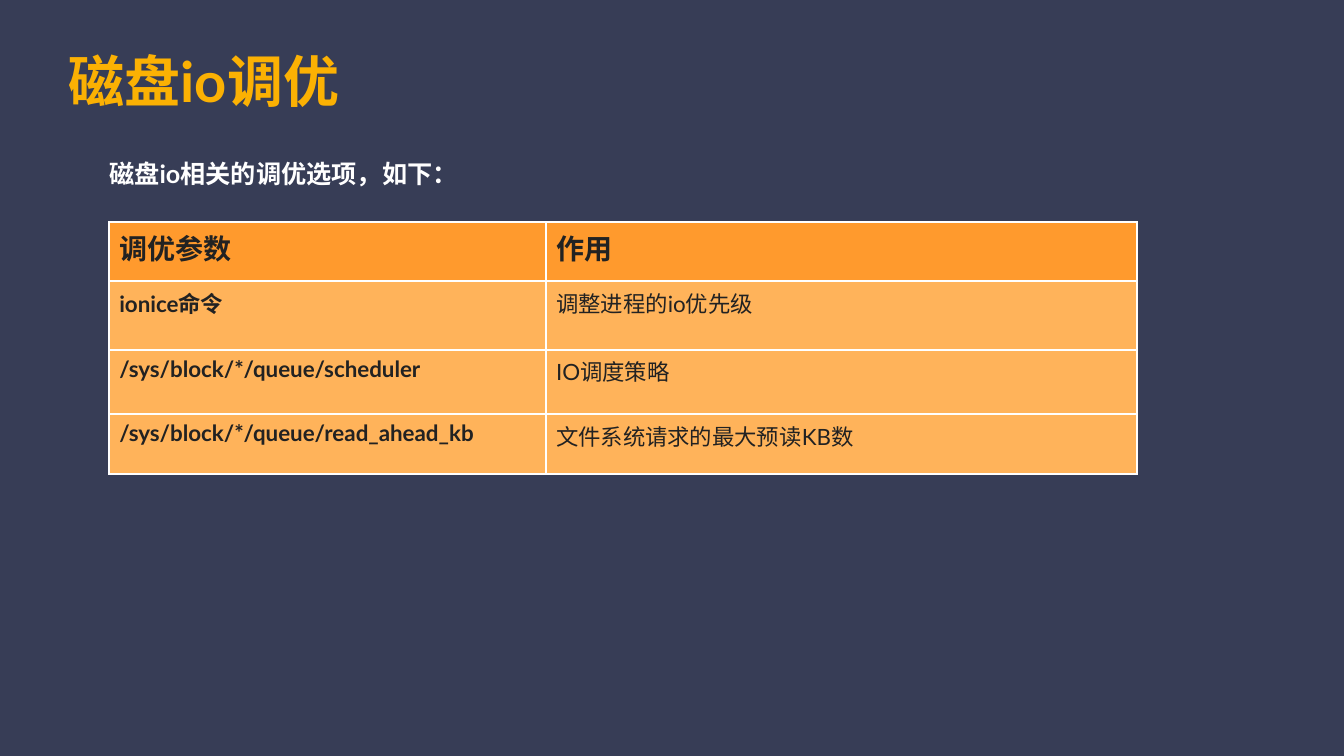
from dataclasses import dataclass

from lxml import etree
from pptx import Presentation
from pptx.dml.color import RGBColor
from pptx.enum.text import MSO_ANCHOR
from pptx.oxml.ns import qn
from pptx.util import Pt

MIDDLE = MSO_ANCHOR.MIDDLE


@dataclass(frozen=True)
class Theme:
    font: str = "Lato"
    background: str = "373D56"
    gold: str = "FBB103"
    white: str = "FFFFFF"
    ink: str = "222222"
    header_fill: str = "FF9A2D"
    body_fill: str = "FFB35A"
    title_size: int = 40
    header_size: int = 20
    intro_size: int = 18
    body_size: int = 16
    outline_width: float = 2.5
    border_width: float = 1.5


theme = Theme()


def write_text(text_frame, text, size, color, bold=True):
    text_frame.text = text
    font = text_frame.paragraphs[0].runs[0].font
    font.name = theme.font
    font.size = Pt(size)
    font.bold = bold
    font.color.rgb = RGBColor.from_string(color)
    return font


def add_line(parent, tag, width, color):
    line = etree.Element(qn(tag), w=str(Pt(width)))
    fill = etree.SubElement(line, qn("a:solidFill"))
    etree.SubElement(fill, qn("a:srgbClr"), val=color)
    parent.insert(0, line)


# Slide and background
presentation = Presentation()
presentation.slide_width = Pt(960)
presentation.slide_height = Pt(540)
slide = presentation.slides.add_slide(presentation.slide_layouts[6])
slide.background.fill.solid()
slide.background.fill.fore_color.rgb = RGBColor.from_string(theme.background)

# Title and introduction
text_boxes = [
    ("磁盘io调优", (43.2, 20.9, 838, 72), theme.title_size, theme.gold, 1),
    ("磁盘io相关的调优选项，如下：", (72, 85, 659, 67), theme.intro_size, theme.white, 1.5),
]
fonts = []
for text, box, size, color, spacing in text_boxes:
    text_frame = slide.shapes.add_textbox(*map(Pt, box)).text_frame
    text_frame.word_wrap = True
    text_frame.vertical_anchor = MIDDLE
    text_frame.margin_left = text_frame.margin_right = Pt(6)
    text_frame.margin_top = text_frame.margin_bottom = Pt(6)
    fonts.append(write_text(text_frame, text, size, color))
    text_frame.paragraphs[0].line_spacing = spacing

# Dark outline around the title letters
title_run = slide.shapes[0].text_frame.paragraphs[0].runs[0]
add_line(title_run._r.get_or_add_rPr(), "a:ln", theme.outline_width, theme.ink)

# Table of tuning options
rows = [
    ("调优参数", "作用"),
    ("ionice命令", "调整进程的io优先级"),
    ("/sys/block/*/queue/scheduler", "IO调度策略"),
    ("/sys/block/*/queue/read_ahead_kb", "文件系统请求的最大预读KB数"),
]
column_widths = [312, 422]
row_heights = [42.5, 49, 46, 42.5]
table = slide.shapes.add_table(
    len(rows), len(column_widths), Pt(78), Pt(158.5),
    Pt(sum(column_widths)), Pt(sum(row_heights)),
).table
for column, width in zip(table.columns, column_widths):
    column.width = Pt(width)

for row_index, (row, height) in enumerate(zip(rows, row_heights)):
    table.rows[row_index].height = Pt(height)
    is_header = row_index == 0
    size = theme.header_size if is_header else theme.body_size
    fill_color = theme.header_fill if is_header else theme.body_fill
    for column_index, text in enumerate(row):
        cell = table.cell(row_index, column_index)
        bold = is_header or column_index == 0
        write_text(cell.text_frame, text, size, theme.ink, bold)
        cell.fill.solid()
        cell.fill.fore_color.rgb = RGBColor.from_string(fill_color)
        # Each border goes in first, so the sides are listed in reverse
        for side in ("a:lnB", "a:lnT", "a:lnR", "a:lnL"):
            add_line(cell._tc.get_or_add_tcPr(), side, theme.border_width, theme.white)

presentation.save("out.pptx")
